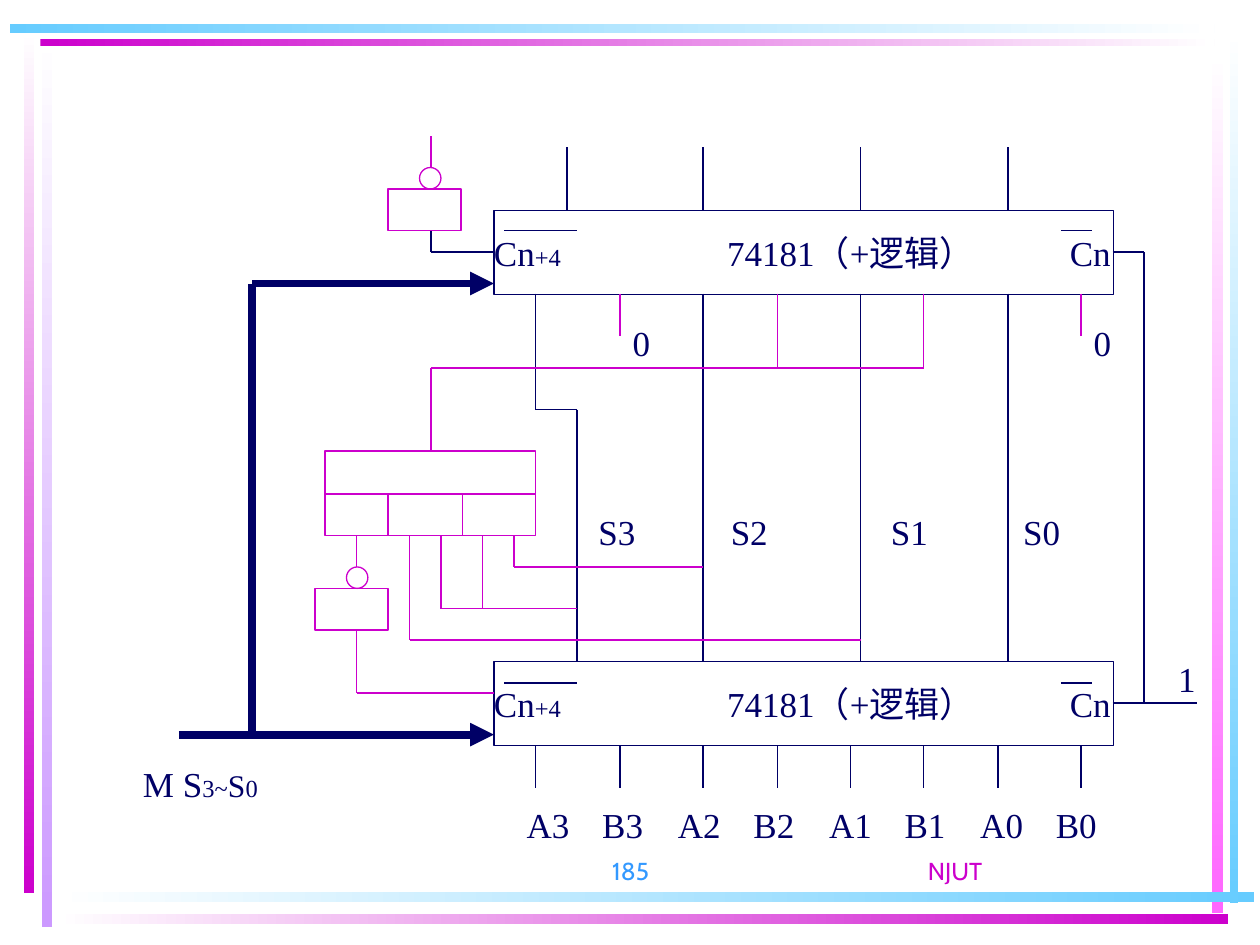
"""Build the circuit slide with two 74181 units and their correction logic."""
from lxml import etree
from pptx import Presentation
from pptx.dml.color import RGBColor
from pptx.enum.shapes import MSO_CONNECTOR, MSO_SHAPE
from pptx.enum.text import MSO_ANCHOR, PP_ALIGN
from pptx.oxml.ns import qn
from pptx.util import Inches, Pt

RECTANGLE, OVAL = MSO_SHAPE.RECTANGLE, MSO_SHAPE.OVAL
STRAIGHT = MSO_CONNECTOR.STRAIGHT
LEFT, CENTER, RIGHT = PP_ALIGN.LEFT, PP_ALIGN.CENTER, PP_ALIGN.RIGHT
TOP, MIDDLE, BOTTOM = MSO_ANCHOR.TOP, MSO_ANCHOR.MIDDLE, MSO_ANCHOR.BOTTOM
NAVY = RGBColor(0x00, 0x00, 0x66)
MAGENTA = RGBColor(0xCC, 0x00, 0xCC)
PINK = RGBColor(0xFF, 0x66, 0xFF)
LILAC = RGBColor(0xCC, 0x99, 0xFF)
SKY = RGBColor(0x66, 0xCC, 0xFF)
BLUE = RGBColor(0x33, 0x99, 0xFF)
WHITE = RGBColor(0xFF, 0xFF, 0xFF)

deck = Presentation()
deck.slide_width, deck.slide_height = Inches(10), Inches(7.5)
page = deck.slides.add_slide(deck.slide_layouts[6])


def write_text(box, *pieces, size=20, font="Times New Roman", color=NAVY,
               align=CENTER, anchor=TOP, wrap=True, inset=0.1, tabs=()):
    frame = box.text_frame
    frame.word_wrap, frame.vertical_anchor = wrap, anchor
    frame.margin_left = frame.margin_right = Inches(inset)
    para = frame.paragraphs[0]
    para.alignment = align
    if tabs:
        tab_list = etree.SubElement(para._p.get_or_add_pPr(), qn("a:tabLst"))
        for stop in tabs:
            etree.SubElement(tab_list, qn("a:tab"), pos=str(Inches(stop)), algn="l")
    for piece in pieces:
        text, points = piece if isinstance(piece, tuple) else (piece, size)
        span = para.add_run()
        span.text = text
        span.font.size, span.font.name = Pt(points), font
        span.font.color.rgb = color


def draw_wire(*points, color=NAVY, width=0.75, arrow=False):
    for start, end in zip(points, points[1:]):
        wire = page.shapes.add_connector(STRAIGHT, *map(Inches, start + end))
        wire.line.color.rgb, wire.line.width = color, Pt(width)
        if arrow:
            etree.SubElement(wire.line._get_or_add_ln(), qn("a:tailEnd"), type="triangle")
        etree.SubElement(wire._element.spPr, qn("a:effectLst"))


frame_bars = [
    (0.33, 0.28, 0.08, 7.08, WHITE, LILAC),
    (0.19, 0.25, 0.08, 6.84, WHITE, MAGENTA),
    (9.76, 0.24, 0.07, 6.93, WHITE, SKY),
    (9.62, 0.42, 0.09, 6.83, WHITE, PINK),
    (0.45, 7.08, 9.5, 0.08, WHITE, SKY),
    (0.45, 7.25, 9.3, 0.08, WHITE, MAGENTA),
    (0.32, 0.31, 9.32, 0.06, MAGENTA, WHITE),
    (0.08, 0.19, 9.56, 0.07, SKY, WHITE),
]
for left, top, width, height, first, last in frame_bars:
    bar = page.shapes.add_shape(RECTANGLE, *map(Inches, (left, top, width, height)))
    bar.shadow.inherit = False
    bar.line.fill.background()
    bar.fill.gradient()
    bar.fill.gradient_angle = 270 if height > width else 0
    for stop, color in zip(bar.fill.gradient_stops, (first, last)):
        stop.color.rgb = color

outlines = [
    (RECTANGLE, 3.92, 5.25, 4.92, 0.67, NAVY),
    (RECTANGLE, 3.92, 1.67, 4.92, 0.67, NAVY),
    (RECTANGLE, 2.58, 3.58, 1.67, 0.67, MAGENTA),
    (RECTANGLE, 2.5, 4.67, 0.58, 0.33, MAGENTA),
    (OVAL, 2.75, 4.5, 0.17, 0.17, MAGENTA),
    (RECTANGLE, 3.08, 1.5, 0.58, 0.33, MAGENTA),
    (OVAL, 3.33, 1.33, 0.17, 0.17, MAGENTA),
]
for kind, left, top, width, height, color in outlines:
    outline = page.shapes.add_shape(kind, *map(Inches, (left, top, width, height)))
    outline.shadow.inherit = False
    outline.fill.background()
    outline.line.color.rgb, outline.line.width = color, Pt(0.75)
    if color == NAVY:
        write_text(outline, "Cn", ("+4", 14), "\t74181（+逻辑）\tCn",
                   align=LEFT, anchor=MIDDLE, inset=0, tabs=(1.85, 4.57))

for x in (4.25, 4.92, 5.58, 6.17, 6.75, 7.33, 7.92, 8.58):
    draw_wire((x, 5.92), (x, 6.25))
for x in (4.5, 5.58, 6.83, 8):
    draw_wire((x, 1.17), (x, 1.67))
for x in (5.58, 6.83, 8):
    draw_wire((x, 2.33), (x, 5.25))
for y in (1.83, 5.42):
    draw_wire((4, y), (4.58, y))
    draw_wire((8.42, y), (8.67, y))
draw_wire((4.25, 2.33), (4.25, 3.25), (4.58, 3.25), (4.58, 5.25))
draw_wire((8.83, 2), (9.08, 2), (9.08, 5.58))
draw_wire((8.83, 5.58), (9.5, 5.58))
draw_wire((3.92, 2), (3.42, 2), (3.42, 1.83))

correction_wires = [
    [(4.92, 2.33), (4.92, 2.67)],
    [(8.58, 2.33), (8.58, 2.67)],
    [(6.17, 2.33), (6.17, 2.92)],
    [(7.33, 2.33), (7.33, 2.92), (3.42, 2.92), (3.42, 3.58)],
    [(2.58, 3.92), (4.25, 3.92)],
    [(3.08, 3.92), (3.08, 4.25)],
    [(3.67, 3.92), (3.67, 4.25)],
    [(3.25, 4.25), (3.25, 5.08), (6.83, 5.08)],
    [(3.5, 4.25), (3.5, 4.83), (4.58, 4.83)],
    [(3.83, 4.25), (3.83, 4.83)],
    [(4.08, 4.25), (4.08, 4.5), (5.58, 4.5)],
    [(2.83, 4.25), (2.83, 4.5)],
    [(2.83, 5), (2.83, 5.5), (3.92, 5.5)],
    [(3.42, 1.08), (3.42, 1.33)],
]
for points in correction_wires:
    draw_wire(*points, color=MAGENTA)

draw_wire((2, 2.25), (3.92, 2.25), width=4.5, arrow=True)
draw_wire((2, 2.25), (2, 5.83), width=4.5)
draw_wire((1.42, 5.83), (3.92, 5.83), width=4.5, arrow=True)

footer = {"size": 14, "font": "Cabin", "anchor": BOTTOM}
labels = [
    (5.83, 6.58, 3.5, 0.5, ["NJUT"], {**footer, "color": MAGENTA}),
    (3.17, 6.58, 2.08, 0.5, ["185"], {**footer, "color": BLUE, "align": RIGHT}),
    (4.92, 2.5, 0.34, 0.44, ["0"], {"wrap": False}),
    (8.58, 2.5, 0.34, 0.44, ["0"], {"wrap": False}),
    (9.25, 5.17, 0.34, 0.44, ["1"], {"wrap": False}),
    (1, 6, 1.18, 0.44, ["M S", ("3~", 14), ("S", 18), ("0", 14)], {}),
    (4.18, 6.33, 4.9, 0.44, ["A3\tB3\tA2\tB2\tA1\tB1\tA0\tB0"],
     {"align": LEFT, "inset": 0, "tabs": [0.6 * step for step in range(1, 8)]}),
    (4.75, 4, 3.83, 0.44, ["S3\tS2\tS1\tS0"],
     {"align": LEFT, "inset": 0, "tabs": (1.05, 2.32, 3.37)}),
]
for left, top, width, height, pieces, style in labels:
    box = page.shapes.add_textbox(*map(Inches, (left, top, width, height)))
    write_text(box, *pieces, **style)

deck.save("out.pptx")
